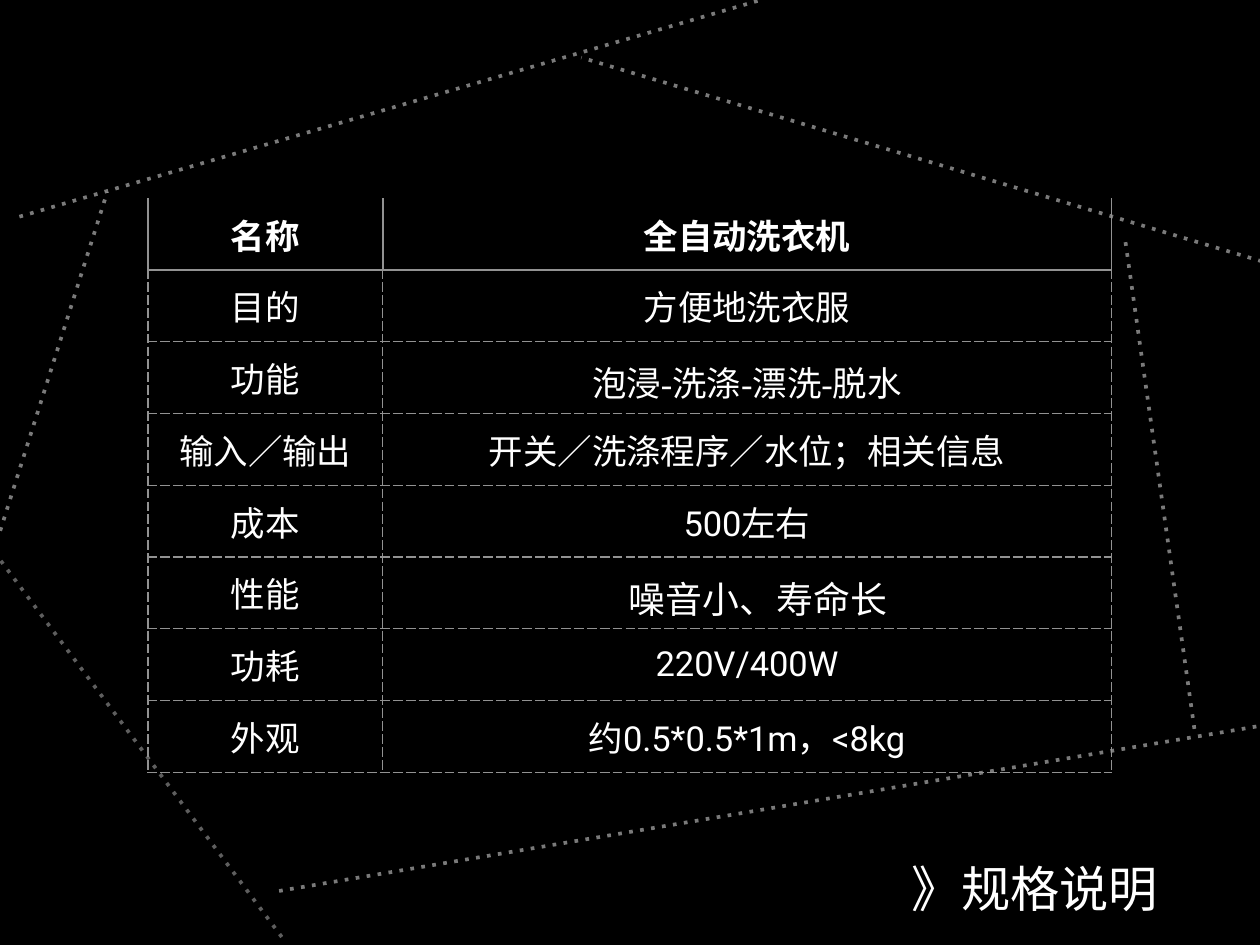
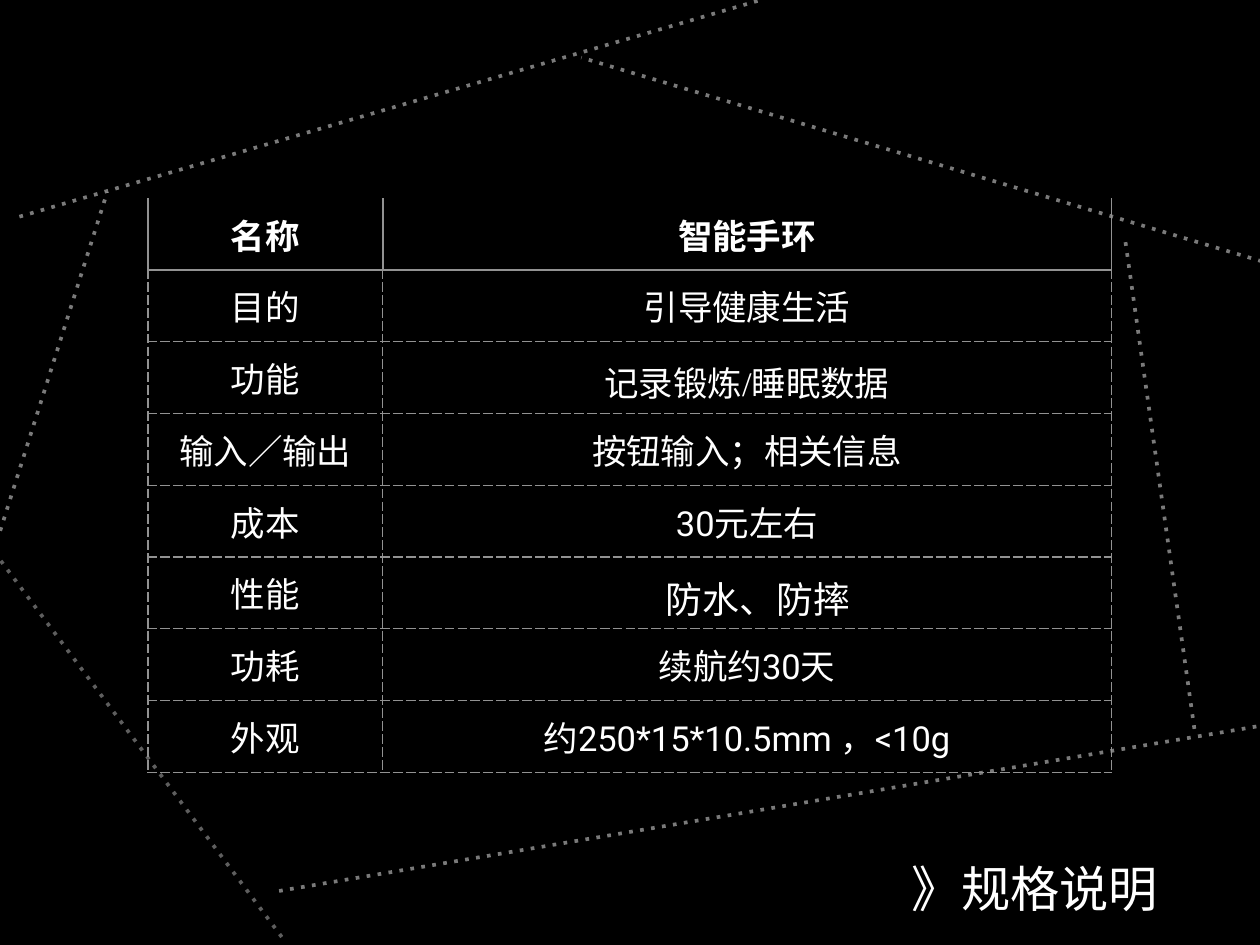
from lxml.etree import SubElement
from pptx import Presentation
from pptx.dml.color import RGBColor
from pptx.enum.shapes import MSO_CONNECTOR
from pptx.enum.text import MSO_ANCHOR, MSO_AUTO_SIZE, PP_ALIGN
from pptx.oxml import parse_xml
from pptx.oxml.ns import nsdecls, qn
from pptx.util import Inches, Pt

BLACK = RGBColor(0x00, 0x00, 0x00)
WHITE = RGBColor(0xFF, 0xFF, 0xFF)
GREY = RGBColor(0x92, 0x92, 0x92)
LATIN, SERIF = "Roboto", "Times New Roman"
TITLE = "》规格说明"

FRAME_LINES = [
    ((3.18, 10.58), (-0.06, 6.24), 36),
    ((-0.79, 8.5), (1.21, 2.17), 47),
    ((3.15, 10.06), (14.2, 8.2), 47),
    ((13.48, 8.23), (12.7, 2.72), 47),
    ((8.55, 0.01), (0.14, 2.47), 47),
    ((14.84, 3.13), (6.56, 0.65), 47),
]

LABELS = ["名称", "目的", "功能", "输入／输出", "成本", "性能", "功耗", "外观"]
WASHER = ["全自动洗衣机", "方便地洗衣服", "泡浸-洗涤-漂洗-脱水",
          "开关／洗涤程序／水位；相关信息", "500左右", "噪音小、寿命长",
          "220V/400W", "约0.5*0.5*1m，<8kg"]
WRISTBAND = ["智能手环", "引导健康生活", "记录锻炼/睡眠数据",
             "按钮输入；相关信息", "30元左右", "防水、防摔",
             "续航约30天", "约250*15*10.5mm ，<10g"]
VALUE_FORMATS = {
    "功能": dict(font=SERIF, margin=1, indent=-1, spacing=47),
    "性能": dict(font=SERIF, size=30, margin=1, indent=-0.75, spacing=50),
}
COLUMN_WIDTHS = [2.65, 8.22]
ROW_HEIGHT = 0.81


def write_text(frame, text, font=LATIN, size=28, bold=False, margin=0,
               indent=0, spacing=None):
    """Write one centred white paragraph into a text frame."""
    para = frame.paragraphs[0]
    para.alignment = PP_ALIGN.CENTER
    properties = para._p.get_or_add_pPr()
    properties.set("marL", str(Inches(margin)))
    properties.set("indent", str(Inches(indent)))
    para.space_before = Pt(0)
    if spacing:
        para.line_spacing = Pt(spacing)
    span = para.add_run()
    span.text = text
    span.font.name = font
    span.font.size = Pt(size)
    span.font.bold = bold
    span.font.color.rgb = WHITE


def add_title(page):
    """Place the title at the lower right."""
    box = page.shapes.title
    box.left, box.top = Inches(10.16), Inches(9.17)
    box.width, box.height = Inches(3.04), Inches(1.51)
    frame = box.text_frame
    frame.margin_left = frame.margin_right = Inches(0.06)
    frame.margin_top = frame.margin_bottom = Inches(0.06)
    frame.vertical_anchor = MSO_ANCHOR.MIDDLE
    frame.word_wrap = False
    frame.auto_size = MSO_AUTO_SIZE.SHAPE_TO_FIT_TEXT
    write_text(frame, TITLE, font=SERIF, size=40, margin=0.5, indent=-0.5,
               spacing=62)


def add_dotted_line(page, start, end, opacity):
    """Draw a translucent dotted line between two points."""
    ends = [Inches(value) for value in (*start, *end)]
    connector = page.shapes.add_connector(MSO_CONNECTOR.STRAIGHT, *ends)
    connector.line.width = Pt(3)
    connector.line.color.rgb = WHITE
    properties = connector._element.spPr
    outline = properties.find(qn("a:ln"))
    color = outline.find(qn("a:solidFill")).find(qn("a:srgbClr"))
    SubElement(color, qn("a:alpha"), val=str(opacity * 1000))
    dashes = SubElement(outline, qn("a:custDash"))
    SubElement(dashes, qn("a:ds"), d="100000", sp="200000")
    SubElement(properties, qn("a:effectLst"))


def border(side, width, dash):
    """Return the XML of one cell border, invisible at zero width."""
    paint = (f'<a:solidFill><a:srgbClr val="{GREY}"/></a:solidFill>'
             f'<a:prstDash val="{dash}"/>' if width else "<a:noFill/>")
    return parse_xml(f'<a:ln{side} {nsdecls("a")} w="{Pt(width)}">{paint}</a:ln{side}>')


def set_borders(cell, row, column):
    """Give a cell solid lines in the header and dashed lines below it."""
    def rule(level):
        return {0: (0, "solid"), 1: (2, "solid")}.get(level, (1, "dash"))

    outer = (1, "dash") if row else (1, "solid")
    inner = outer if row else (2, "solid")
    left, right = (inner, outer) if column else (outer, inner)
    sides = {"L": left, "R": right, "T": rule(row), "B": rule(row + 1)}
    properties = cell._tc.get_or_add_tcPr()
    for position, (side, style) in enumerate(sides.items()):
        properties.insert(position, border(side, *style))


def add_specification(page, values):
    """Add the two-column specification table."""
    table = page.shapes.add_table(
        len(LABELS), len(COLUMN_WIDTHS), Inches(1.67), Inches(2.24),
        Inches(sum(COLUMN_WIDTHS)), Inches(ROW_HEIGHT * len(LABELS))).table
    table.horz_banding = False
    for column, width in zip(table.columns, COLUMN_WIDTHS):
        column.width = Inches(width)
    for row, (label, value) in enumerate(zip(LABELS, values)):
        table.rows[row].height = Inches(ROW_HEIGHT)
        formats = ({}, VALUE_FORMATS.get(label, {}))
        for column, text in enumerate((label, value)):
            cell = table.cell(row, column)
            cell.fill.background()
            cell.vertical_anchor = MSO_ANCHOR.MIDDLE
            cell.margin_left = cell.margin_right = Inches(0.05)
            cell.margin_top = cell.margin_bottom = Inches(0.05)
            write_text(cell.text_frame, text, bold=row == 0, **formats[column])
            set_borders(cell, row, column)


def main():
    """Build the deck with one specification page per product."""
    deck = Presentation()
    deck.slide_width, deck.slide_height = Inches(14.22), Inches(10.67)
    background = deck.slide_master.background.fill
    background.solid()
    background.fore_color.rgb = BLACK
    for values in (WASHER, WRISTBAND):
        page = deck.slides.add_slide(deck.slide_layouts.get_by_name("Title Only"))
        for start, end, opacity in FRAME_LINES:
            add_dotted_line(page, start, end, opacity)
        add_title(page)
        add_specification(page, values)
    deck.save("out.pptx")


if __name__ == "__main__":
    main()
